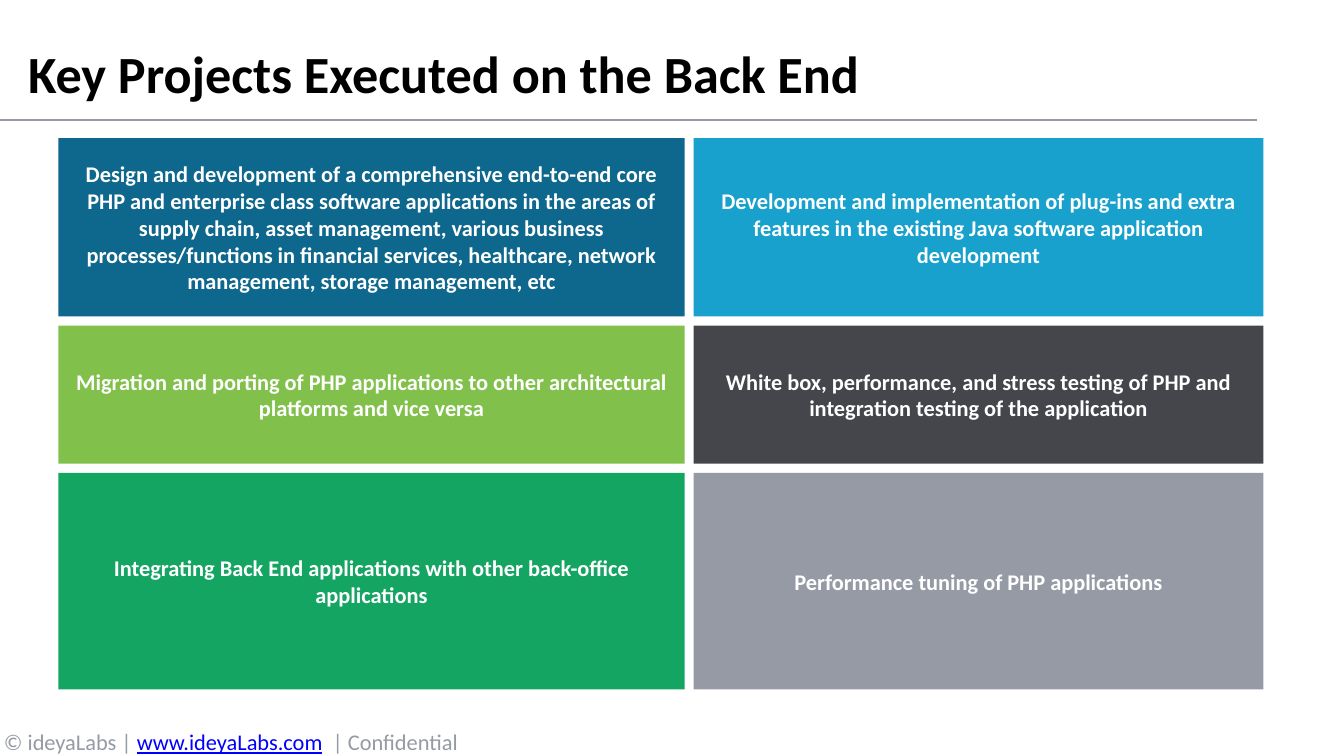
from lxml import etree
from pptx import Presentation
from pptx.dml.color import RGBColor
from pptx.enum.shapes import MSO_CONNECTOR, MSO_SHAPE
from pptx.enum.text import MSO_ANCHOR, PP_ALIGN
from pptx.oxml.ns import qn
from pptx.util import Inches, Pt

RECT = MSO_SHAPE.RECTANGLE
LINE = MSO_CONNECTOR.STRAIGHT
LEFT, CENTER = PP_ALIGN.LEFT, PP_ALIGN.CENTER
MIDDLE, BOTTOM = MSO_ANCHOR.MIDDLE, MSO_ANCHOR.BOTTOM

COLORS = {
    "black": "000000", "white": "FFFFFF", "link": "0000FF",
    "navy": "0E678C", "sky": "17A1CC", "lime": "81C14B",
    "dark": "44464B", "green": "15A563", "gray": "959AA5",
}
HEAD = {"name": "Calibri", "size": Pt(37.3), "bold": True}
BODY = {"name": "Calibri", "size": Pt(16), "bold": True}
FOOT = {"name": "Calibri", "size": Pt(16), "bold": False}

WIDTHS = (6.21, 5.65)
HEIGHTS = (1.77, 1.37, 2.15)
GAP = 0.09
TILES = (
    (("navy", "Design and development of a comprehensive end-to-end core PHP and "
      "enterprise class software applications in the areas of supply chain, asset "
      "management, various business processes/functions in financial services, "
      "healthcare, network management, storage management, etc"),
     ("sky", "Development and implementation of plug-ins and extra features in the "
      "existing Java software application development")),
    (("lime", "Migration and porting of PHP applications to other architectural "
      "platforms and vice versa"),
     ("dark", "White box, performance, and stress testing of PHP and integration "
      "testing of the application")),
    (("green", "Integrating Back End applications with other back-office applications"),
     ("gray", "Performance tuning of PHP applications")),
)


def tint(name):
    """Return the named colour."""
    return RGBColor.from_string(COLORS[name])


def write(shape, parts, style, align, anchor):
    """Fill a shape with one paragraph of (text, colour, underline) parts."""
    frame = shape.text_frame
    frame.word_wrap = True
    frame.vertical_anchor = anchor
    para = frame.paragraphs[0]
    para.alignment = align
    for text, color, under in parts:
        run = para.add_run()
        run.text = text
        for key, value in {**style, "underline": under}.items():
            setattr(run.font, key, value)
        run.font.color.rgb = tint(color)


def add_title(slide, left, top, width, height):
    """Place the heading and the rule below it."""
    box = slide.shapes.add_textbox(*map(Inches, (left, top, width, height)))
    parts = [("Key Projects Executed on the Back End", "black", False)]
    write(box, parts, HEAD, LEFT, BOTTOM)
    base = top + height + 0.11
    rule = slide.shapes.add_connector(LINE, *map(Inches, (0, base, left + width + 0.29, base)))
    rule.line.color.rgb = tint("gray")
    rule.line.width = Pt(1)
    etree.SubElement(rule._element.spPr, qn("a:effectLst"))


def add_tiles(slide, left, top):
    """Place the grid of project tiles."""
    y = top
    for row, height in zip(TILES, HEIGHTS):
        x = left
        for (color, text), width in zip(row, WIDTHS):
            tile = slide.shapes.add_shape(RECT, *map(Inches, (x, y, width, height)))
            tile.shadow.inherit = False
            tile.fill.solid()
            tile.fill.fore_color.rgb = tint(color)
            tile.line.fill.background()
            write(tile, [(text, "white", False)], BODY, CENTER, MIDDLE)
            x += width + GAP
        y += height + GAP


def add_footer(slide, left, top, width, height):
    """Place the copyright line."""
    box = slide.shapes.add_textbox(*map(Inches, (left, top, width, height)))
    parts = [("© ideyaLabs | ", "gray", False),
             ("www.ideyaLabs.com", "link", True),
             ("  | Confidential", "gray", False)]
    write(box, parts, FOOT, CENTER, MIDDLE)


def main():
    """Build and save the slide."""
    deck = Presentation()
    deck.slide_width, deck.slide_height = Inches(13.33), Inches(7.5)
    slide = deck.slides.add_slide(deck.slide_layouts[6])
    add_footer(slide, -0.1, 7.16, 4.78, 0.4)
    add_title(slide, 0.18, 0.12, 12, 0.96)
    add_tiles(slide, 0.58, 1.37)
    deck.save("out.pptx")


if __name__ == "__main__":
    main()
